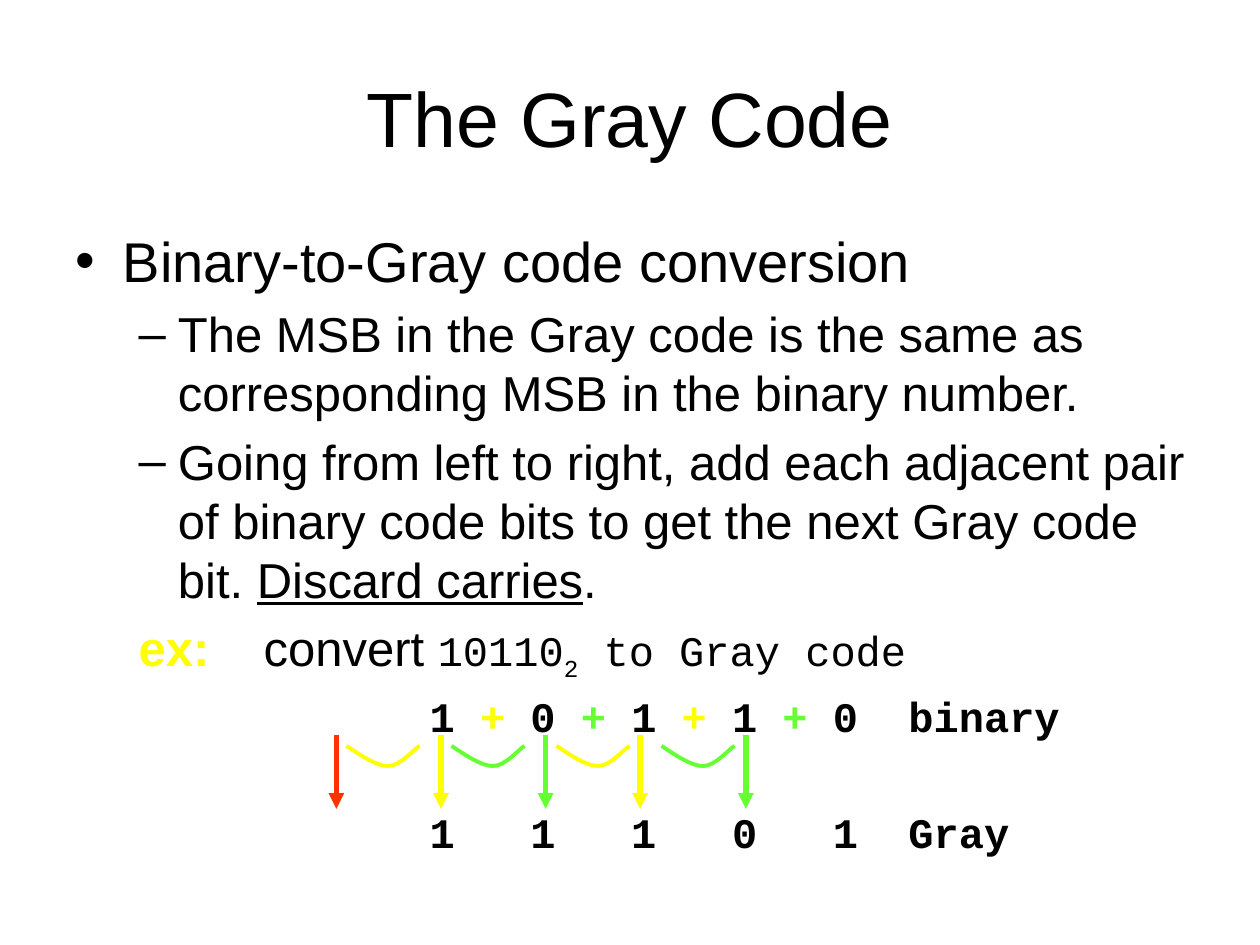
from pptx import Presentation
from pptx.dml.color import RGBColor
from pptx.enum.shapes import MSO_CONNECTOR
from pptx.enum.text import MSO_ANCHOR, MSO_AUTO_SIZE
from pptx.oxml.ns import qn
from pptx.util import Inches, Pt
from lxml.etree import SubElement

COLORS = {"black": "000000", "yellow": "FFFF00", "green": "66FF33", "red": "FF3300"}
BASE = {"name": "Arial", "size": Pt(28), "bold": False, "underline": False}
MONO = {"name": "Courier New", "size": Pt(24)}
CODE = {**MONO, "bold": True}
BIT_GAP = (" ", {**CODE, "spacing": 28.8})
LABEL_GAP = (" ", {**CODE, "spacing": 14.4})


class SlideBuilder:
    def __init__(self, slide):
        self.s = slide

    def place(self, sp, left, top, width, height, anchor):
        sp.left, sp.top = Inches(left), Inches(top)
        sp.width, sp.height = Inches(width), Inches(height)
        sp.text_frame.auto_size = MSO_AUTO_SIZE.NONE
        sp.text_frame.vertical_anchor = anchor
        return sp.text_frame

    def run(self, p, text, color="black", subscript=False, spacing=0, **style):
        """Add a run; spacing is extra points after each character."""
        r = p.add_run()
        r.text = text
        for key, value in {**BASE, **style}.items():
            setattr(r.font, key, value)
        r.font.color.rgb = RGBColor.from_string(COLORS[color])
        if subscript:
            r.font._element.set("baseline", "-25000")
        if spacing:
            r.font._element.set("spc", str(round(spacing * 100)))

    def paragraph(self, tf, runs, level=0, before=None, margin=None):
        """Add a list item, or an unbulleted row when a margin is given."""
        p = tf.paragraphs[0] if not tf.paragraphs[0].runs else tf.add_paragraph()
        p.level = level
        if before is not None:
            p.space_before = Pt(before)
        if margin is not None:
            pPr = p._p.get_or_add_pPr()
            pPr.set("marL", str(Inches(margin)))
            pPr.set("indent", "0")
            SubElement(pPr, qn("a:buNone"))
        for text, style in runs:
            self.run(p, text, **style)

    def stroke(self, sp, color, width):
        sp.line.color.rgb = RGBColor.from_string(COLORS[color])
        sp.line.width = Pt(width)

    def down_arrow(self, x, top, bottom, color):
        c = self.s.shapes.add_connector(MSO_CONNECTOR.STRAIGHT, Inches(x), Inches(top),
                                        Inches(x), Inches(bottom))
        self.stroke(c, color, 3)
        SubElement(c.line._get_or_add_ln(), qn("a:tailEnd"), type="triangle")
        SubElement(c._element.spPr, qn("a:effectLst"))

    def curve(self, x, y, offsets, color):
        """Draw an open chain of cubic curves, three offsets to each."""
        points = [(Inches(x + dx), Inches(y + dy)) for dx, dy in offsets]
        builder = self.s.shapes.build_freeform(Inches(x), Inches(y))
        builder.add_line_segments(points, close=False)
        sp = builder.convert_to_shape()
        lines = list(sp._element.iter(qn("a:lnTo")))
        outline = lines[0].getparent()
        for i in range(0, len(lines), 3):
            cubic = SubElement(outline, qn("a:cubicBezTo"))
            for line in lines[i:i + 3]:
                cubic.append(line[0])
                outline.remove(line)
        sp.fill.background()
        sp.shadow.inherit = False
        self.stroke(sp, color, 2.25)


def main():
    prs = Presentation()
    prs.slide_width, prs.slide_height = Inches(10), Inches(7.5)
    s = prs.slides.add_slide(prs.slide_layouts[1])
    b = SlideBuilder(s)

    tf = b.place(s.shapes.title, 0.5, 0.3, 9, 1.25, MSO_ANCHOR.MIDDLE)
    b.paragraph(tf, [("The Gray Code", {"size": Pt(44)})])

    tf = b.place(s.placeholders[1], 0.5, 1.75, 9, 5.5, MSO_ANCHOR.TOP)
    b.paragraph(tf, [("Binary-to-Gray code conversion", {"size": Pt(32)})])
    b.paragraph(tf, [("The MSB in the Gray code is the same as corresponding MSB "
                      "in the binary number.", {})], 1, 5.6)
    b.paragraph(tf, [("Going from left to right, add each adjacent pair of binary "
                      "code bits to get the next Gray code bit. ", {}),
                     ("Discard carries", {"underline": True}), (".", {})], 1, 5.6)
    b.paragraph(tf, [("ex:", {"color": "yellow", "bold": True}),
                     (" ", {"spacing": 23.3}), ("convert ", {}),
                     ("10110", MONO), ("2", {**MONO, "subscript": True}),
                     (" to Gray code", MONO)], 1, 5.6, margin=0.5)

    pair_colors = ["yellow", "green", "yellow", "green"]
    binary, gray = [("1", CODE)], [("1", CODE)]
    for bit, color in zip("0110", pair_colors):
        binary += [(" ", CODE), ("+", {**CODE, "color": color}), (f" {bit}", CODE)]
    for bit in "1101":
        gray += [BIT_GAP, (bit, CODE)]
    for row, label, before in ((binary, "binary", 4.8), (gray, "Gray", 37.6)):
        b.paragraph(tf, row + [LABEL_GAP, (label, CODE)], 1, before, margin=2.81)

    for x, color in zip((2.67, 3.5, 4.33, 5.08, 5.92), ["red"] + pair_colors):
        b.down_arrow(x, 5.83, 6.42, color)
    arc = [(0.12, 0.08), (0.24, 0.16), (0.33, 0.16),
           (0.43, 0.16), (0.54, 0.02), (0.58, 0)]
    for i, color in enumerate(pair_colors):
        b.curve(2.75 + i * 2.5 / 3, 5.92, arc, color)

    prs.save("out.pptx")


if __name__ == "__main__":
    main()
